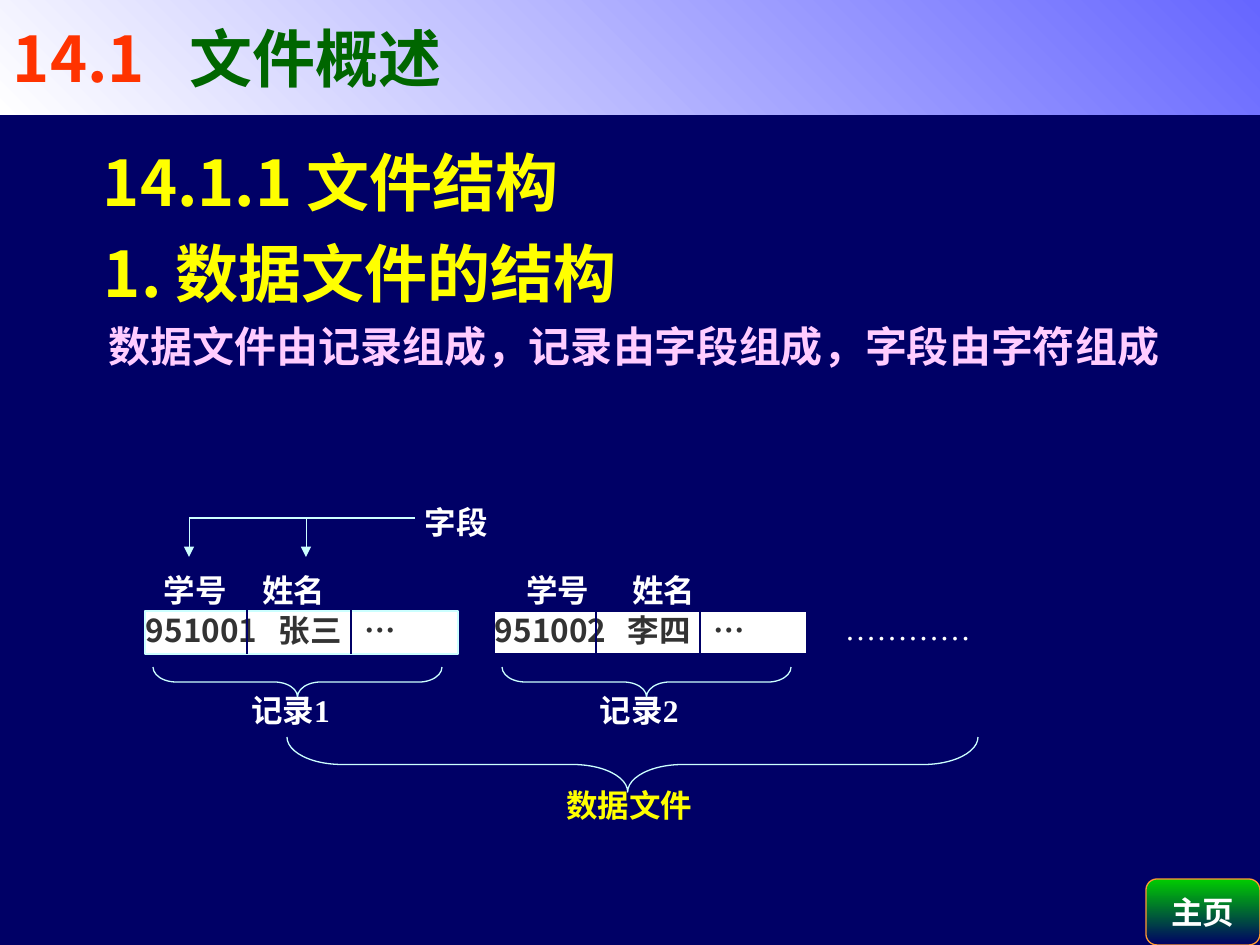
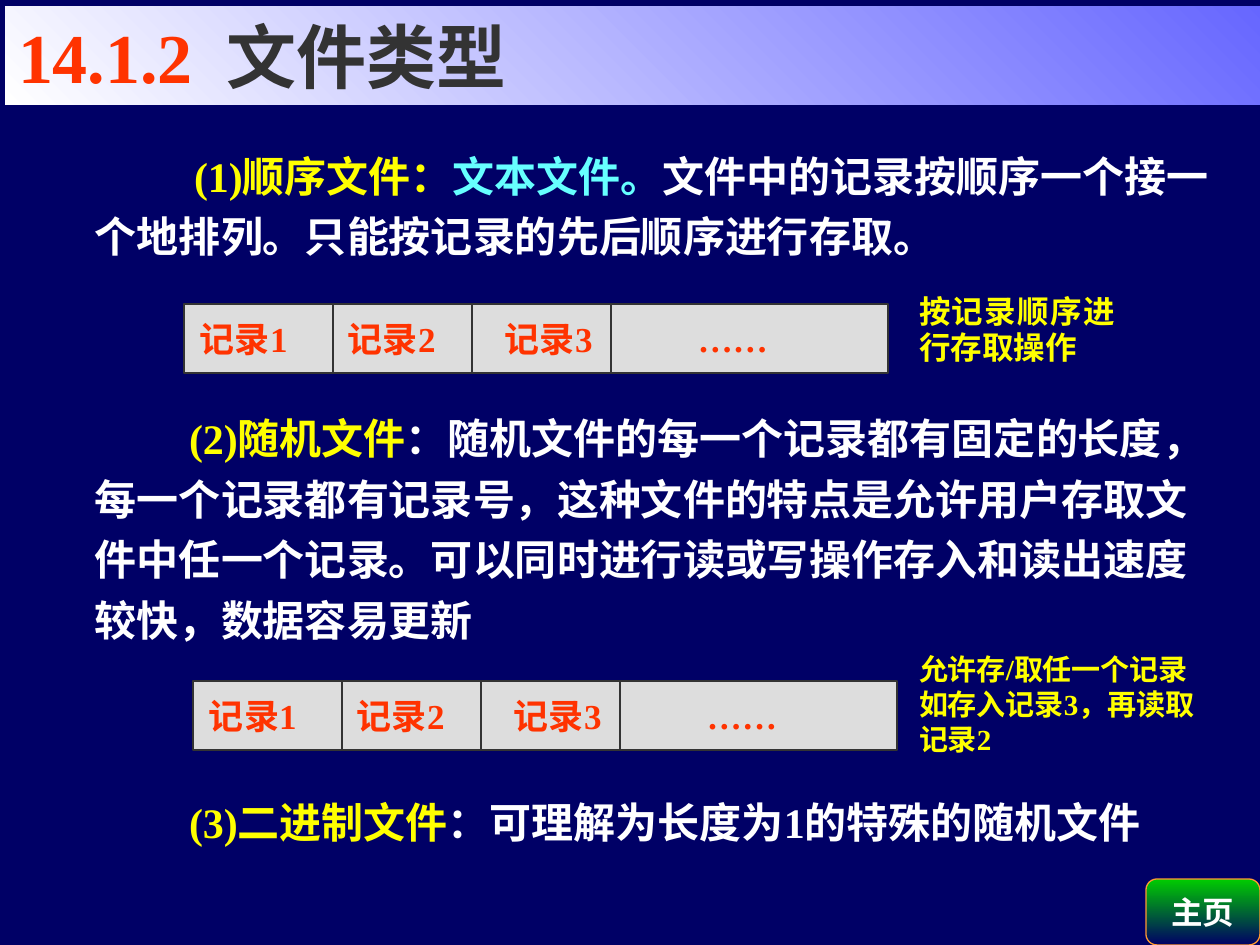
from lxml import etree
from pptx import Presentation
from pptx import util as u
from pptx.dml.color import RGBColor
from pptx.enum import shapes, text
from pptx.oxml import ns

PX = 914400 / 126
NAVY, WHITE, YELLOW, RED = "000066", "FFFFFF", "FFFF00", "FF3300"
PALE, DARK, GREY = "CCFFFF", "333333", "DDDDDD"
SERIF, SANS, SANS_JP = "Times New Roman", "Noto Sans CJK SC", "Noto Sans CJK JP"


def px(length):
    return u.Emu(round(length * PX))


def rgb(color):
    return RGBColor.from_string(color)


def child(parent, tag, **attributes):
    element = etree.SubElement(parent, ns.qn(tag))
    for name, value in attributes.items():
        element.set(name, str(value))
    return element


def write(para, words, size=18, color=WHITE, font=SERIF, bold=True):
    """Add one formatted span to a paragraph."""
    span = para.add_run()
    span.text = words
    span.font.size = u.Pt(size)
    span.font.bold = bold
    span.font.name = font
    span.font.color.rgb = rgb(color)
    child(span._r.get_or_add_rPr(), "a:ea", typeface=SANS)


def arrange(para, left=None, first=0, tabs=(), before=0, spacing=None,
            align=text.PP_ALIGN.LEFT):
    """Set indents or tab stops (px), spacing and alignment.

    LibreOffice drops tab stops where an indent is set, so tabbed text has none.
    """
    properties = para._p.get_or_add_pPr()
    if left is not None:
        properties.set("marL", str(px(left)))
        properties.set("indent", str(px(first)))
    child(properties, "a:buNone")
    if tabs:
        stops = child(properties, "a:tabLst")
        for stop in tabs:
            child(stops, "a:tab", pos=px(stop), algn="l")
    para.space_before = u.Pt(before)
    para.line_spacing = spacing
    para.alignment = align


def gradient(shape, start, end, angle):
    shape.fill.gradient()
    shape.fill.gradient_angle = angle
    for stop, color in zip(shape.fill.gradient_stops, (start, end)):
        stop.color.rgb = rgb(color)


class Painter:
    def __init__(self):
        self.deck = Presentation()
        self.deck.slide_width, self.deck.slide_height = px(1260), px(945)
        background = self.deck.slide_master.background.fill
        background.solid()
        background.fore_color.rgb = rgb(NAVY)
        self.page = None

    def start_page(self):
        self.page = self.deck.slides.add_slide(self.deck.slide_layouts[1])
        button = self.shape(shapes.MSO_SHAPE.ROUNDED_RECTANGLE,
                            1146, 879, 114, 66, "FF9933")
        gradient(button, "00CC00", NAVY, 270)
        frame = self.frame(button, anchor=text.MSO_ANCHOR.MIDDLE)
        arrange(frame.paragraphs[0], align=text.PP_ALIGN.CENTER)
        write(frame.paragraphs[0], "主页")

    def frame(self, box, inset=0, anchor=text.MSO_ANCHOR.TOP):
        frame = box.text_frame
        frame.word_wrap = True
        frame.auto_size = text.MSO_AUTO_SIZE.NONE
        frame.vertical_anchor = anchor
        frame.margin_left = px(inset)
        frame.margin_right = frame.margin_top = frame.margin_bottom = 0
        return frame

    def place(self, holder, left, top, width, height):
        holder.left, holder.top = px(left), px(top)
        holder.width, holder.height = px(width), px(height)

    def title(self, area, number, words, tab, size, color, font):
        holder = self.page.shapes.title
        self.place(holder, *area)
        gradient(holder, WHITE, "6666FF", 45)
        frame = self.frame(holder, 13, text.MSO_ANCHOR.MIDDLE)
        para = frame.paragraphs[0]
        arrange(para, tabs=[tab])
        write(para, number + "\t", size, RED, font)
        write(para, words, size, color, font)

    def body(self, area, items):
        """Fill the body placeholder; each item is (spans, layout)."""
        holder = self.page.placeholders[1]
        self.place(holder, *area)
        frame = self.frame(holder, 13)
        frame.margin_top = px(6)
        for index, (spans, layout) in enumerate(items):
            para = frame.add_paragraph() if index else frame.paragraphs[0]
            arrange(para, **layout)
            for words, style in spans:
                write(para, words, **style)

    def shape(self, kind, left, top, width, height, line):
        shape = self.page.shapes.add_shape(
            kind, px(left), px(top), px(width), px(height))
        shape.shadow.inherit = False
        shape.line.color.rgb = rgb(line)
        shape.line.width = u.Pt(0.75)
        return shape

    def box(self, left, top, width, height, lines, fill=NAVY, line=NAVY, inset=2,
            anchor=text.MSO_ANCHOR.TOP, tabs=(), spacing=None,
            align=text.PP_ALIGN.LEFT, **style):
        box = self.shape(shapes.MSO_SHAPE.RECTANGLE, left, top, width, height, line)
        box.fill.solid()
        box.fill.fore_color.rgb = rgb(fill)
        frame = self.frame(box, inset, anchor)
        for index, words in enumerate(lines):
            para = frame.add_paragraph() if index else frame.paragraphs[0]
            arrange(para, tabs=tabs, spacing=spacing, align=align)
            write(para, words, **style)

    def line(self, x1, y1, x2, y2, color, width=0.75, arrow=False):
        line = self.page.shapes.add_connector(
            shapes.MSO_CONNECTOR.STRAIGHT, px(x1), px(y1), px(x2), px(y2))
        line.line.color.rgb = rgb(color)
        line.line.width = u.Pt(width)
        if arrow:
            child(line.line._get_or_add_ln(), "a:tailEnd", type="triangle")
        child(line._element.spPr, "a:effectLst")

    def brace(self, left, top, width, height, bend, tip=0.5):
        """Draw a brace that points down; the area is the one seen on the page."""
        shift = (width - height) / 2
        brace = self.shape(shapes.MSO_SHAPE.RIGHT_BRACE,
                           left + shift, top - shift, height, width, PALE)
        brace.fill.background()
        brace.rotation = 90
        brace.adjustments[0] = bend
        brace.adjustments[1] = tip

    def student(self, left, cells, label, line, header_inset, header_tab):
        self.box(left + 104, 691, 105, 40, [label])
        self.box(left - 11, 571, 310, 41, ["学号\t姓名"], inset=header_inset,
                 tabs=[header_tab])
        self.box(left, 611, 313, 43, ["\t".join(cells)], fill=WHITE, line=line,
                 inset=1, tabs=[133, 219], color=DARK, font=SANS)
        for divider in (102, 206):
            self.line(left + divider, 610, left + divider, 654, NAVY)
        self.brace(left + 8, 667, 289, 30, 0.77)

    def record_strip(self, left, top):
        self.box(left, top, 704, 69, ["记录1\t记录2\t记录3\t……"], fill=GREY,
                 line=DARK, inset=16, anchor=text.MSO_ANCHOR.MIDDLE,
                 tabs=[148, 305, 498], size=20, color=RED)
        for divider in (149, 288, 427):
            self.line(left + divider, top, left + divider, top + 69, DARK)

    def note(self, left, top, width, height, lines, **style):
        self.box(left, top, width, height, lines, color=YELLOW,
                 align=text.PP_ALIGN.JUSTIFY, **style)


def structure_page(painter):
    painter.start_page()
    painter.title((0, 0, 1260, 115), "14.1", "文件概述", 176, 36, "006600", SANS_JP)
    heading = dict(size=36, color=YELLOW, font=SANS_JP)
    painter.body((20, 137, 1226, 735), [
        ([("14.1.1 文件结构", heading)], dict(left=70)),
        ([("1. 数据文件的结构", heading)], dict(left=71, before=9)),
        ([("数据文件由记录组成，记录由字段组成，字段由字符组成",
           dict(size=24, color="FFCCFF"))], dict(left=76, before=6)),
    ])
    painter.box(537, 786, 171, 44, ["数据文件"], inset=29, color=YELLOW)
    painter.student(145, ("951001", "张三", "…"), "记录1", PALE, 30, 98)
    painter.student(494, ("951002", "李四", "…"), "记录2", NAVY, 43, 106)
    painter.box(843, 609, 144, 40, ["…………"], bold=False)
    painter.brace(287, 737, 691, 55, 1, 0.507)
    painter.box(423, 503, 87, 40, ["字段"])
    for x in (189, 306):
        painter.line(x, 518, x, 557, PALE, 0.25, arrow=True)
    painter.line(189, 518, 415, 518, PALE)


def types_page(painter):
    painter.start_page()
    painter.title((5, 6, 1260, 99), "14.1.2", "文件类型", 209, 40, DARK, SERIF)
    plain, name, kind = (dict(size=24, color=color)
                         for color in (WHITE, YELLOW, "66FFFF"))
    painter.body((34, 134, 1190, 784), [
        ([("(1)顺序文件：", name), ("文本文件。", kind),
          ("文件中的记录按顺序一个接一个地排列。只能按记录的先后顺序进行存取。", plain)],
         dict(left=48, first=99, spacing=1.2)),
        ([("(2)随机文件", name),
          ("：随机文件的每一个记录都有固定的长度，每一个记录都有记录号，"
           "这种文件的特点是允许用户存取文件中任一个记录。"
           "可以同时进行读或写操作存入和读出速度较快，数据容易更新", plain)],
         dict(left=48, first=94, before=81, spacing=1.2)),
        ([("(3)二进制文件", name), ("：可理解为长度为1的特殊的随机文件", plain)],
         dict(left=48, first=94, before=81, spacing=1.2)),
    ])
    painter.record_strip(184, 304)
    painter.note(917, 295, 198, 80, ["按记录顺序进行存取操作"], spacing=0.95)
    painter.record_strip(193, 681)
    painter.note(917, 652, 308, 128,
                 ["允许存/取任一个记录", "如存入记录3，再读取", "记录2"], size=16.6)


def main():
    painter = Painter()
    structure_page(painter)
    types_page(painter)
    painter.deck.save("out.pptx")


if __name__ == "__main__":
    main()
